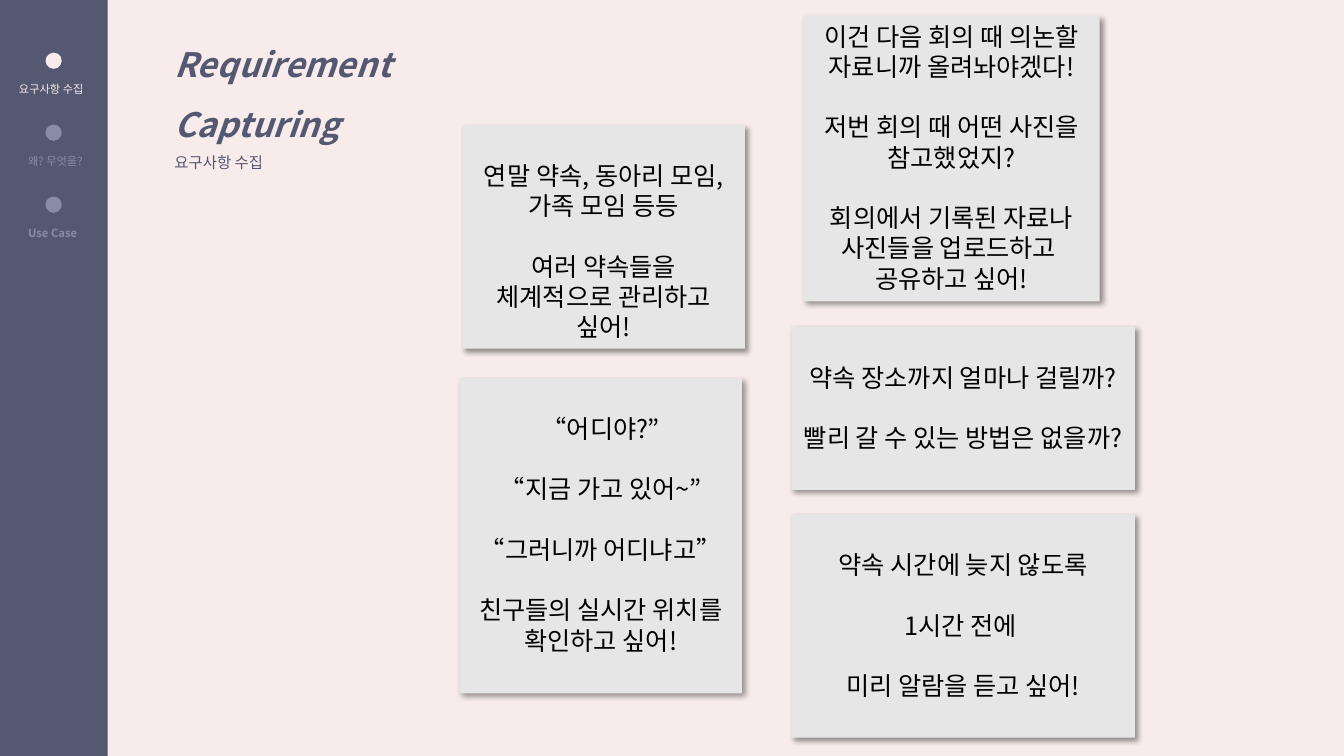
"""Build the requirement capturing slide with a side menu and five note cards."""
from lxml.etree import SubElement
from pptx import Presentation
from pptx.dml.color import RGBColor
from pptx.enum.shapes import MSO_SHAPE
from pptx.enum.text import MSO_ANCHOR, PP_ALIGN
from pptx.oxml.ns import qn
from pptx.util import Pt

FONT = "Noto Sans CJK KR"
COLORS = {"navy": "545871", "rose": "F7EBEB", "mute": "888CA6",
          "card": "E7E6E6", "black": "000000"}
LINE = 21.6
MENU = [("요구사항 수집", 6.5, 66, "rose", False),
        ("왜? 무엇을?", 13, 57, "mute", False),
        ("Use Case", 13, 50, "mute", True)]
CARDS = [
    ((328.3, 270, 201.6, 225.4), LINE,
     ["“어디야?”", "“지금 가고 있어~”", "“그러니까 어디냐고”",
      "친구들의 실시간 위치를 확인하고 싶어!"]),
    ((330.5, 89.3, 201.6, 159.8), LINE,
     ["연말 약속, 동아리 모임, 가족 모임 등등",
      "여러 약속들을 체계적으로 관리하고 싶어!"]),
    ((573.8, 11.5, 211.7, 203.8), 0,
     ["이건 다음 회의 때 의논할 자료니까 올려놔야겠다!",
      "저번 회의 때 어떤 사진을 참고했었지?",
      "회의에서 기록된 자료나 사진들을 업로드하고 \v공유하고 싶어!"]),
    ((565.2, 367.2, 245.5, 159.8), LINE,
     ["약속 시간에 늦지 않도록", "1시간 전에 ", "미리 알람을 듣고 싶어!"]),
    ((565.2, 233.3, 245.5, 116.6), LINE,
     ["약속 장소까지 얼마나 걸릴까?", "빨리 갈 수 있는 방법은 없을까?"]),
]


def color(name):
    return RGBColor.from_string(COLORS[name])


def place(shape, box):
    shape.left, shape.top, shape.width, shape.height = map(Pt, box)


def write(frame, text, size=18, hue="black", bold=False, slant=False,
          align=PP_ALIGN.LEFT, space=None, gap=0, first=False):
    para = frame.paragraphs[0] if first else frame.add_paragraph()
    para.text = text
    para.alignment = align
    para.line_spacing = space
    para.space_before = Pt(0 if first else gap)
    for run in para.runs:
        font = run.font
        font.name, font.size = FONT, Pt(size)
        font.bold, font.italic = bold, slant
        font.color.rgb = color(hue)
        SubElement(font._element, qn("a:ea")).set("typeface", FONT)


def draw(slide, kind, box, hue):
    shape = slide.shapes.add_shape(kind, *map(Pt, box))
    shape.shadow.inherit = False
    shape.fill.solid()
    shape.fill.fore_color.rgb = color(hue)
    shape.line.fill.background()
    return shape


def shade(shape):
    effect = shape._element.spPr.find(qn("a:effectLst"))
    outer = SubElement(effect, qn("a:outerShdw"), blurRad=str(Pt(4)),
                       dist=str(Pt(3)), dir="2700000", algn="tl", rotWithShape="0")
    tint = SubElement(outer, qn("a:srgbClr"), val=COLORS["black"])
    SubElement(tint, qn("a:alpha"), val="40000")


def head(slide):
    title = slide.shapes.title
    place(title, (117.4, 13, 198.7, 111.6))
    frame = title.text_frame
    frame.word_wrap = True
    frame.vertical_anchor = MSO_ANCHOR.TOP
    write(frame, "Requirement ", 24, "navy", True, True, space=1.5, first=True)
    write(frame, "Capturing", 24, "navy", True, True, space=1.5)
    write(frame, "요구사항 수집", 11, "navy", space=1.5)


def menu(slide):
    draw(slide, MSO_SHAPE.RECTANGLE, (0, 0, 77, 540), "navy")
    for step, (text, left, width, hue, bold) in enumerate(MENU):
        top = 37.6 + 51.4 * step
        draw(slide, MSO_SHAPE.OVAL, (32.5, top, 11.6, 11.6), hue)
        box = slide.shapes.add_textbox(*map(Pt, (left, top + 17.8, width, 17)))
        box.text_frame.word_wrap = False
        write(box.text_frame, text, 8, hue, bold, first=True)


def card(slide, box, lead, texts):
    shape = draw(slide, MSO_SHAPE.RECTANGLE, box, "card")
    shade(shape)
    frame = shape.text_frame
    frame.word_wrap = True
    frame.vertical_anchor = MSO_ANCHOR.TOP
    frame.margin_top = Pt(3.6 + lead)
    for spot, text in enumerate(texts):
        write(frame, text, align=PP_ALIGN.CENTER, gap=LINE, first=spot == 0)


def main():
    deck = Presentation()
    deck.slide_width, deck.slide_height = Pt(960), Pt(540)
    slide = deck.slides.add_slide(deck.slide_layouts[5])
    slide.background.fill.solid()
    slide.background.fill.fore_color.rgb = color("rose")
    menu(slide)
    head(slide)
    for box, lead, texts in CARDS:
        card(slide, box, lead, texts)
    deck.save("out.pptx")


main()
